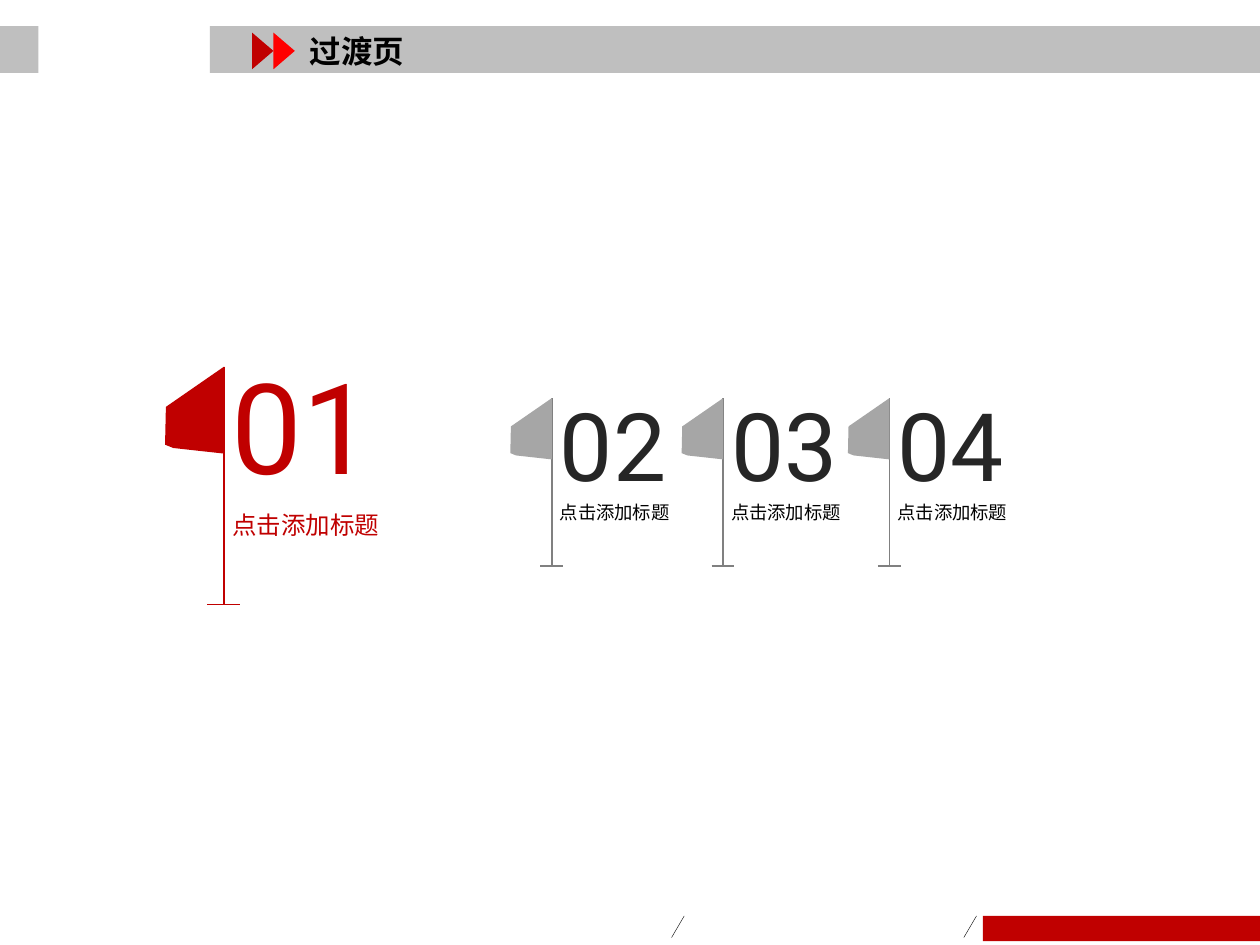
from lxml.etree import SubElement as Sub
from pptx import Presentation
from pptx.dml.color import RGBColor as Rgb
from pptx.enum.shapes import MSO_CONNECTOR as Conn, MSO_SHAPE as Kind
from pptx.enum.text import MSO_ANCHOR as Anchor, PP_ALIGN as Align
from pptx.oxml.ns import qn
from pptx.util import Pt

THEME = {
    "red": "C00000", "bright": "FF0000", "bar": "BFBFBF", "flag": "A6A6A6",
    "pole": "808080", "dark": "262626", "ink": "000000", "tick": "0D0D0D",
    "cjk": "Noto Sans CJK SC", "num": "Roboto",
    "title": 18, "big": (72, 14), "small": (54, 10.5),
}

TITLE = "过渡页"
STEPS = [("01", "点击添加标题"), ("02", "点击添加标题"),
         ("03", "点击添加标题"), ("04", "点击添加标题")]
POLES = [128, 315.4, 413.3, 508.3]
BIG = {"scale": 1, "top": 209.5, "sizes": THEME["big"], "flag": THEME["red"],
       "pole": THEME["red"], "num": THEME["red"], "label": THEME["red"]}
SMALL = {"scale": 0.705, "top": 227.5, "sizes": THEME["small"], "flag": THEME["flag"],
         "pole": THEME["pole"], "num": THEME["dark"], "label": THEME["ink"]}
FLAG = [(-33.7, 44.6), (-33.2, 23), (0, 0), (0, 49.7), (-29, 46.5)]
BARS = [(561.6, 523.4, 159.8, 14.4, "red"), (120, 15, 600, 26.7, "bar"),
        (-0.7, 15, 22.7, 26.7, "bar")]
ARROWS = [(151.9, "bright"), (139.7, "red")]
TICKS = [558, 391]

deck = Presentation()
deck.slide_width, deck.slide_height = Pt(720), Pt(540)
slide = deck.slides.add_slide(deck.slide_layouts[5])
shapes = slide.shapes


def paint(shape, color):
    shape.shadow.inherit = False
    shape.fill.solid()
    shape.fill.fore_color.rgb = Rgb.from_string(color)
    shape.line.fill.background()
    return shape


def block(kind, x, y, w, h, color):
    return paint(shapes.add_shape(kind, Pt(x), Pt(y), Pt(w), Pt(h)), color)


def rule(x1, y1, x2, y2, color, width):
    line = shapes.add_connector(Conn.STRAIGHT, Pt(x1), Pt(y1), Pt(x2), Pt(y2))
    line.line.color.rgb = Rgb.from_string(color)
    line.line.width = Pt(width)
    Sub(line._element.spPr, qn("a:effectLst"))


def write(text, x, y, w, h, *, size, color, font, bold=False, anchor=Anchor.TOP, box=None):
    box = box or shapes.add_textbox(Pt(x), Pt(y), Pt(w), Pt(h))
    box.left, box.top, box.width, box.height = Pt(x), Pt(y), Pt(w), Pt(h)
    frame = box.text_frame
    frame.word_wrap = True
    frame.vertical_anchor = anchor
    para = frame.paragraphs[0]
    para.alignment = Align.LEFT
    run = para.add_run()
    run.text = text
    run.font.size, run.font.bold, run.font.name = Pt(size), bold, font
    run.font.color.rgb = Rgb.from_string(color)
    Sub(run.font._element, qn("a:ea")).set("typeface", font)


def step(num, label, x, look):
    k, top = look["scale"], look["top"]
    large, little = look["sizes"]
    write(num, x - 2.5, top - 14 * k, 1.2 * large + 14.4, 1.2 * large + 7.2,
          size=large, color=look["num"], font=THEME["num"])
    write(label, x - 2.5, top + 78.5 * k, 6.4 * little + 14.4, 1.2 * little + 7.2,
          size=little, color=look["label"], font=THEME["cjk"])
    foot = top + 136 * k
    rule(x, top, x, foot, look["pole"], 1)
    spots = [(Pt(x + dx * k), Pt(top + dy * k)) for dx, dy in FLAG]
    path = shapes.build_freeform(*spots[0])
    path.add_line_segments(spots[1:], close=True)
    paint(path.convert_to_shape(), look["flag"])
    rule(x - 9.5 * k, foot, x + 9 * k, foot, look["pole"], 0.75)


for x, y, w, h, color in BARS:
    block(Kind.RECTANGLE, x, y, w, h, THEME[color])
for x in TICKS:
    rule(x, 523.4, x - 7.2, 535.7, THEME["tick"], 0.25)

head = shapes.title
head._element.getparent().append(head._element)
write(TITLE, 169.9, 9.4, 95, 39.6, size=THEME["title"], color=THEME["ink"],
      font=THEME["cjk"], bold=True, anchor=Anchor.MIDDLE, box=head)
for x, color in ARROWS:
    block(Kind.ISOSCELES_TRIANGLE, x, 23, 20.9, 12.2, THEME[color]).rotation = 90

for i, ((num, label), x) in enumerate(zip(STEPS, POLES)):
    step(num, label, x, SMALL if i else BIG)

deck.save("out.pptx")
